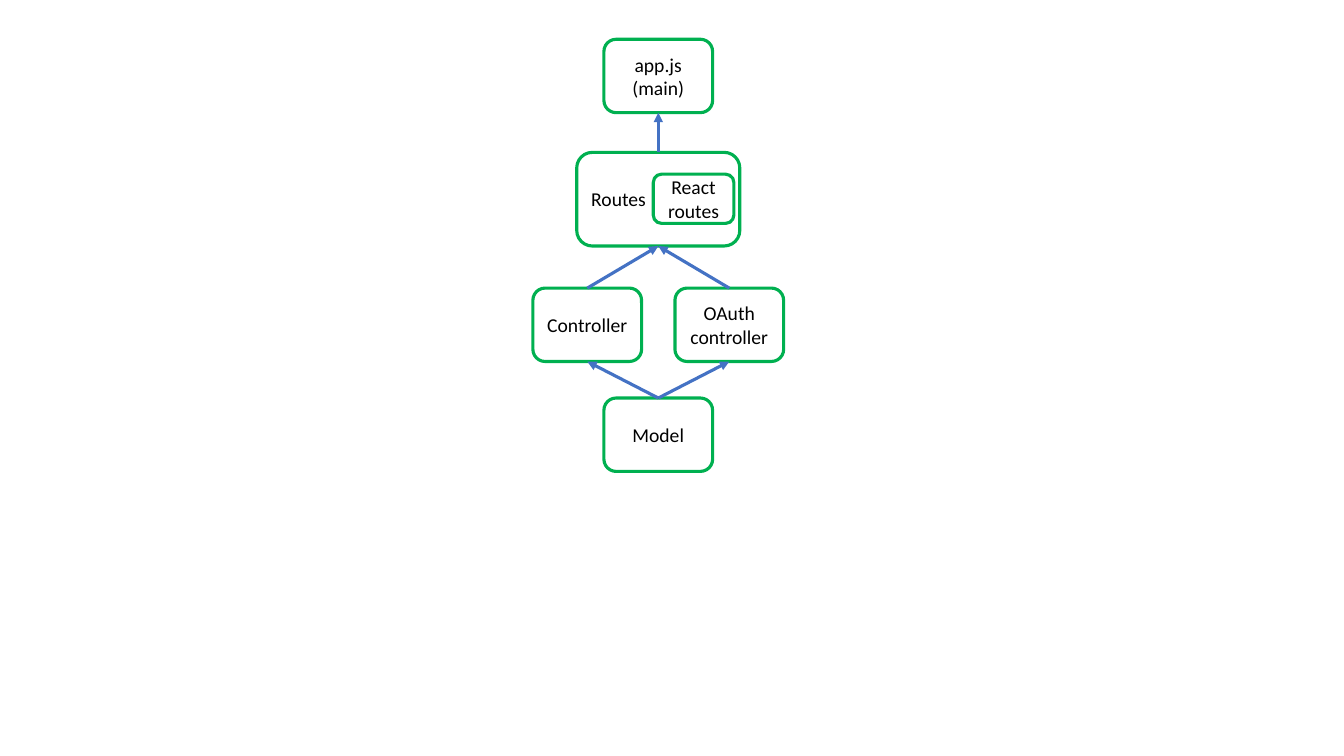
from dataclasses import dataclass

from lxml.etree import SubElement
from pptx import Presentation
from pptx.dml.color import RGBColor
from pptx.enum.shapes import MSO_CONNECTOR, MSO_SHAPE
from pptx.enum.text import MSO_ANCHOR, PP_ALIGN
from pptx.oxml.ns import qn
from pptx.shapes.autoshape import Shape
from pptx.shapes.shapetree import SlideShapes
from pptx.util import Cm, Pt


@dataclass(frozen=True)
class Theme:
    outline: RGBColor = RGBColor(0x00, 0xB0, 0x50)
    arrow: RGBColor = RGBColor(0x44, 0x72, 0xC4)
    text: RGBColor = RGBColor(0x00, 0x00, 0x00)
    font: str = "Calibri"
    text_size: Pt = Pt(14)
    line_width: Pt = Pt(2.25)


@dataclass(frozen=True)
class Module:
    name: str
    text: str
    center: float
    top: float
    width: float = 2.74
    height: float = 1.85
    align: PP_ALIGN = PP_ALIGN.CENTER


@dataclass(frozen=True)
class Dependency:
    source: str
    target: str


THEME = Theme()
AXIS = 16.59
BRANCH = 1.79
TOP_SITE, BOTTOM_SITE = 0, 2

MODULES = [
    Module("app", "app.js\n(main)", AXIS, 0.99),
    Module("routes", "Routes", AXIS, 3.84, 4.11, 2.36, PP_ALIGN.LEFT),
    Module("react", "React routes", 17.48, 4.39, 2.03, 1.24),
    Module("controller", "Controller", AXIS - BRANCH, 7.26),
    Module("oauth", "OAuth controller", AXIS + BRANCH, 7.26),
    Module("model", "Model", AXIS, 10.03),
]

DEPENDENCIES = [
    Dependency("model", "controller"),
    Dependency("model", "oauth"),
    Dependency("controller", "routes"),
    Dependency("oauth", "routes"),
    Dependency("routes", "app"),
]


def draw_module(shapes: SlideShapes, module: Module) -> Shape:
    box = shapes.add_shape(
        MSO_SHAPE.ROUNDED_RECTANGLE,
        Cm(module.center - module.width / 2),
        Cm(module.top),
        Cm(module.width),
        Cm(module.height),
    )
    box.shadow.inherit = False
    box.fill.background()
    box.line.color.rgb = THEME.outline
    box.line.width = THEME.line_width
    frame = box.text_frame
    frame.word_wrap = True
    frame.vertical_anchor = MSO_ANCHOR.MIDDLE
    frame.text = module.text
    for para in frame.paragraphs:
        para.alignment = module.align
        for span in para.runs:
            span.font.name = THEME.font
            span.font.size = THEME.text_size
            span.font.color.rgb = THEME.text
    return box


def draw_dependency(shapes: SlideShapes, source: Shape, target: Shape) -> None:
    arrow = shapes.add_connector(MSO_CONNECTOR.STRAIGHT, 0, 0, 0, 0)
    arrow.begin_connect(source, TOP_SITE)
    arrow.end_connect(target, BOTTOM_SITE)
    arrow.line.color.rgb = THEME.arrow
    arrow.line.width = THEME.line_width
    SubElement(arrow.line._get_or_add_ln(), qn("a:tailEnd"), type="triangle")
    SubElement(arrow._element.spPr, qn("a:effectLst"))


def main() -> None:
    deck = Presentation()
    deck.slide_width, deck.slide_height = Cm(33.87), Cm(19.05)
    blank_layout = deck.slide_layouts.get_by_name("Blank")
    page = deck.slides.add_slide(blank_layout)
    boxes = {module.name: draw_module(page.shapes, module) for module in MODULES}
    for link in DEPENDENCIES:
        draw_dependency(page.shapes, boxes[link.source], boxes[link.target])
    deck.save("out.pptx")


if __name__ == "__main__":
    main()
